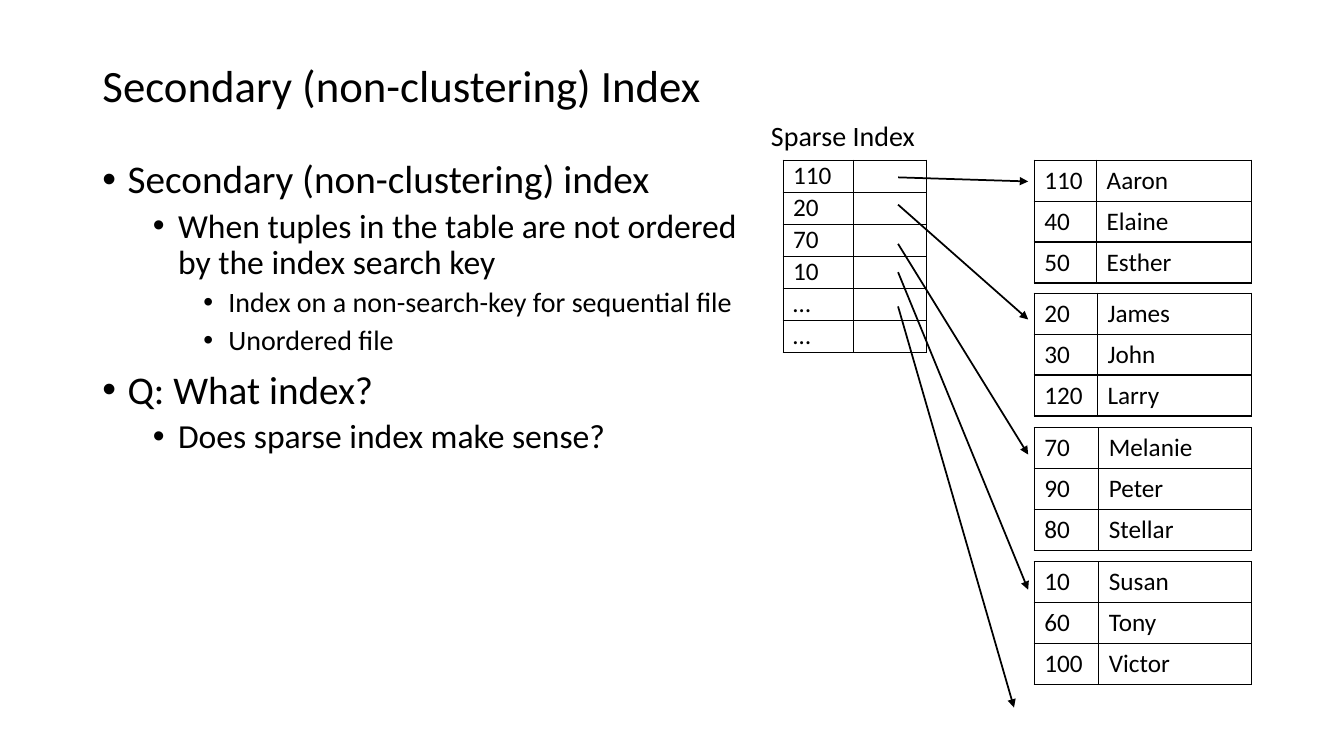
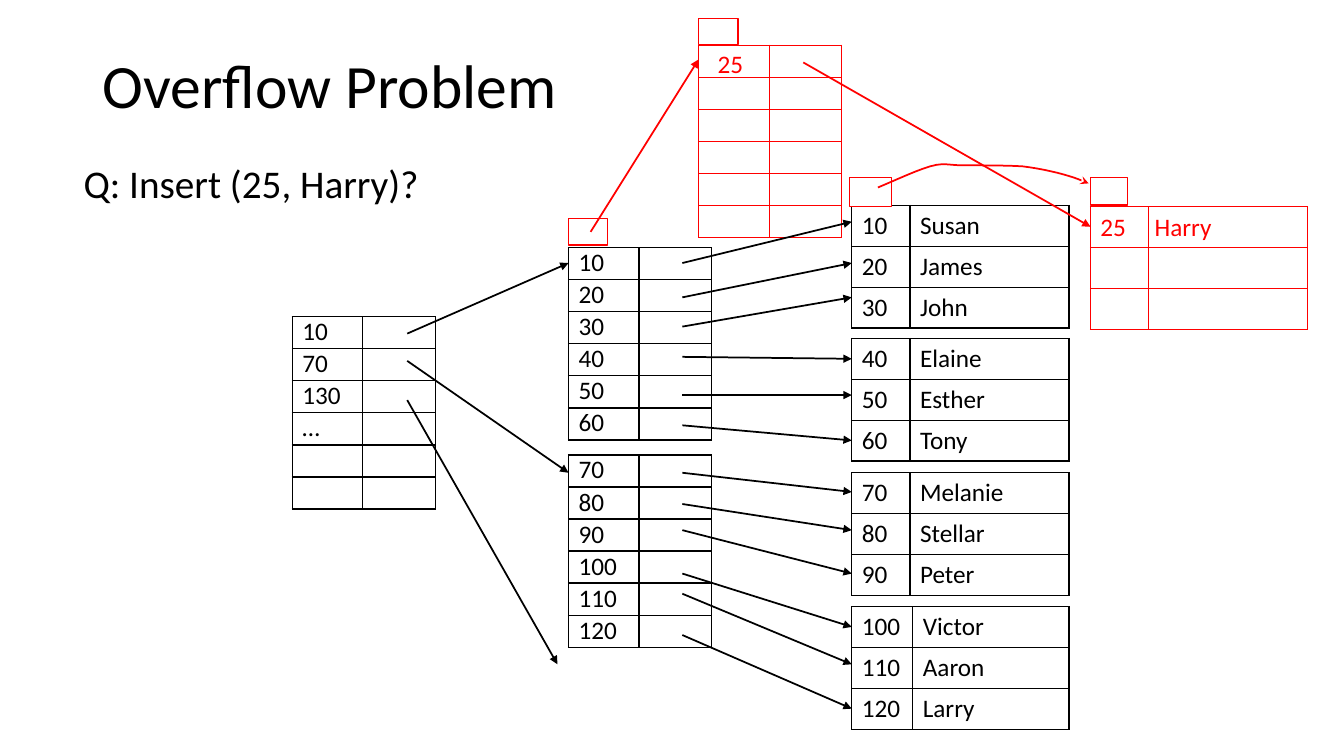
from lxml import etree
from pptx import Presentation
from pptx.dml.color import RGBColor
from pptx.enum.shapes import MSO_CONNECTOR, MSO_SHAPE
from pptx.enum.text import MSO_ANCHOR, MSO_AUTO_SIZE, PP_ALIGN
from pptx.oxml.ns import qn
from pptx.util import Pt

STRAIGHT = MSO_CONNECTOR.STRAIGHT
RECTANGLE = MSO_SHAPE.RECTANGLE
MIDDLE = MSO_ANCHOR.MIDDLE
NO_AUTOFIT = MSO_AUTO_SIZE.NONE
LEFT = PP_ALIGN.LEFT

FONT = "Calibri"
BLACK, RED, WHITE = "000000", "FF0000", "FFFFFF"
color = RGBColor.from_string

INDEX_COLUMNS, INDEX_ROW = (50.4, 51.8), 22.9
DATA_WIDTH, DATA_ROW = 155.2, 29.1
DATA_OFFSETS = (0, 95, 191, 286.8)  # tops of stacked data blocks


def write_text(paragraph, text, size=18, hex_color=BLACK, before=0,
               line_spacing=None, level=0, indent=None, bullet=None, tab=None):
    """Fill a paragraph; indent is the left edge of hanging text."""
    paragraph.level = level
    paragraph.alignment = LEFT
    paragraph.space_before = Pt(before)
    if line_spacing:
        paragraph.line_spacing = line_spacing
    properties = paragraph._p.get_or_add_pPr()
    if indent is not None:
        properties.set("marL", str(Pt(indent)))
        properties.set("indent", str(Pt(-18)))
        if bullet:
            etree.SubElement(properties, qn("a:buChar")).set("char", bullet)
        else:
            etree.SubElement(properties, qn("a:buNone"))
    if tab:
        stops = etree.SubElement(properties, qn("a:tabLst"))
        etree.SubElement(stops, qn("a:tab"), pos=str(Pt(tab)), algn="l")
    run = paragraph.add_run()
    run.text = text
    run.font.name = FONT
    run.font.size = Pt(size)
    run.font.color.rgb = color(hex_color)


def style_arrow(shape, hex_color, head):
    """Give a connector or open outline its line and arrowhead, no shadow."""
    shape.line.color.rgb = color(hex_color)
    shape.line.width = Pt(1.25)
    line = shape.line._get_or_add_ln()
    etree.SubElement(line, qn("a:tailEnd")).set("type", head)
    etree.SubElement(shape._element.spPr, qn("a:effectLst"))


presentation = Presentation()
presentation.slide_width = Pt(960)
presentation.slide_height = Pt(540)

# Shared title and body places
layout = presentation.slide_layouts[1]
for placeholder, top, width, height in (
    (layout.placeholders[0], 24, 828, 78),
    (layout.placeholders[1], 110.6, 478, 376),
):
    placeholder.left, placeholder.top = Pt(66), Pt(top)
    placeholder.width, placeholder.height = Pt(width), Pt(height)

# Slide titles
slides = []
for title, size in (("Secondary (non-clustering) Index", 32),
                    ("Overflow Problem", 44)):
    slide = presentation.slides.add_slide(layout)
    frame = slide.shapes.title.text_frame
    frame.auto_size = NO_AUTOFIT
    frame.vertical_anchor = MIDDLE
    write_text(frame.paragraphs[0], title, size=size, line_spacing=0.9)
    slides.append(slide)
secondary, overflow = slides

# Body lists
body = secondary.placeholders[1].text_frame
body.auto_size = NO_AUTOFIT
for number, (level, text) in enumerate((
    (0, "Secondary (non-clustering) index"),
    (1, "When tuples in the table are not ordered by the index search key"),
    (2, "Index on a non-search-key for sequential file"),
    (2, "Unordered file"),
    (0, "Q: What index?"),
    (1, "Does sparse index make sense?"),
)):
    paragraph = body.add_paragraph() if number else body.paragraphs[0]
    before = 0 if number == 0 else 5 if level else 10
    write_text(paragraph, text, size=28 - 4 * level, before=before,
               line_spacing=0.9, level=level, indent=18 + 36 * level, bullet="•")

question = overflow.placeholders[1]
question.left, question.top = Pt(52.5), Pt(113.8)
question.width, question.height = Pt(340), Pt(45)
question.text_frame.auto_size = NO_AUTOFIT
write_text(question.text_frame.paragraphs[0], "Q: Insert (25, Harry)?", size=28,
           line_spacing=0.9, indent=18)

# Index tables: slide, left, top, keys, colour
tables = []
for slide, left, top, keys, hex_color in (
    (secondary, 559.4, 114.5, ("110", "20", "70", "10", "…", "…"), BLACK),
    (overflow, 406.1, 177, ("10", "20", "30", "40", "50", "60"), BLACK),
    (overflow, 406.1, 325, ("70", "80", "90", "100", "110", "120"), BLACK),
    (overflow, 208.8, 226.3, ("10", "70", "130", "…", "", ""), BLACK),
    (overflow, 499, 32.3, ("",) * 6, RED),
):
    rows = [(key, "") for key in keys]
    tables.append((slide, left, top, INDEX_COLUMNS, INDEX_ROW, 0, rows,
                   hex_color))

# Data blocks: slide, left, first top, colour, key widths and rows
for slide, left, first_top, hex_color, blocks in (
    (secondary, 738.7, 114.5, BLACK, (
        (44.6, (("110", "Aaron"), ("40", "Elaine"), ("50", "Esther"))),
        (45.2, (("20", "James"), ("30", "John"), ("120", "Larry"))),
        (46.2, (("70", "Melanie"), ("90", "Peter"), ("80", "Stellar"))),
        (46.2, (("10", "Susan"), ("60", "Tony"), ("100", "Victor"))),
    )),
    (overflow, 608.4, 146.7, BLACK, (
        (41.6, (("10", "Susan"), ("20", "James"), ("30", "John"))),
        (41.6, (("40", "Elaine"), ("50", "Esther"), ("60", "Tony"))),
        (41.6, (("70", "Melanie"), ("80", "Stellar"), ("90", "Peter"))),
        (43.6, (("100", "Victor"), ("110", "Aaron"), ("120", "Larry"))),
    )),
    (overflow, 779, 147.6, RED, ((41.6, (("", ""),) * 3),)),
):
    for offset, (key_width, rows) in zip(DATA_OFFSETS, blocks):
        tables.append((slide, left, first_top + offset,
                       (key_width, DATA_WIDTH - key_width), DATA_ROW, 3.6,
                       rows, hex_color))

# Draw every table
for slide, left, top, widths, row_height, padding, rows, hex_color in tables:
    table = slide.shapes.add_table(
        len(rows), 2, Pt(left), Pt(top), Pt(sum(widths)),
        Pt(row_height * len(rows))).table
    table.first_row = table.horz_banding = False
    for column, width in zip(table.columns, widths):
        column.width = Pt(width)
    for row, texts in zip(table.rows, rows):
        row.height = Pt(row_height)
        for cell, text in zip(row.cells, texts):
            cell.margin_top = cell.margin_bottom = Pt(padding)
            cell.fill.background()
            if text:
                write_text(cell.text_frame.paragraphs[0], text,
                           hex_color=hex_color)
            cell_properties = cell._tc.get_or_add_tcPr()
            for position, side in enumerate(("lnL", "lnR", "lnT", "lnB")):
                border = etree.Element(qn("a:" + side), w=str(Pt(1)))
                fill = etree.SubElement(border, qn("a:solidFill"))
                etree.SubElement(fill, qn("a:srgbClr")).set("val", hex_color)
                cell_properties.insert(position, border)

# Index label and inserted entries
for slide, left, top, width, height, text, size, hex_color, tab in (
    (secondary, 543.6, 81.4, 118, 31.7, "Sparse Index", 20, BLACK, None),
    (overflow, 779, 147.6, 95, 29, "25\tHarry", 18, RED, 38.7),
    (overflow, 505.6, 31, 33, 29, "25", 18, RED, None),
):
    label = slide.shapes.add_textbox(Pt(left), Pt(top), Pt(width), Pt(height))
    label.text_frame.word_wrap = False
    write_text(label.text_frame.paragraphs[0], text, size=size,
               hex_color=hex_color, tab=tab)

# Overflow pointer boxes
for left, top, width, height in (
    (606.7, 126.7, 30.2, 20.9),
    (779, 126.7, 26.3, 19.9),
    (406.1, 156.2, 27.8, 18.9),
    (499, 13.2, 28.1, 18.7),
):
    box = overflow.shapes.add_shape(RECTANGLE, Pt(left), Pt(top), Pt(width),
                                    Pt(height))
    box.shadow.inherit = False
    box.fill.solid()
    box.fill.fore_color.rgb = color(WHITE)
    box.line.color.rgb = color(RED)
    box.line.width = Pt(1)

# Arrows: slide, colour, start x, end x, pairs of start y and end y
for slide, hex_color, start_x, end_x, heights in (
    (secondary, BLACK, 641.5, 734.4, (
        (126.7, 129.6), (146.2, 228.2), (174.2, 324.7), (194.4, 421.2))),
    (secondary, BLACK, 641.5, 724.3, ((218.9, 505.4),)),
    (overflow, BLACK, 487.4, 608.4, (
        (187.9, 158.4), (212.4, 187.9), (233.3, 212.4), (254.9, 256.3),
        (282.2, 282.2), (303.8, 314.6), (337.7, 351.4), (360, 378.7),
        (378.7, 409.7), (409.7, 447.8), (424.1, 474.5), (453.6, 506.2))),
    (overflow, BLACK, 290.9, 406.1, ((238.3, 187.9), (257.8, 337.7))),
    (overflow, BLACK, 290.9, 398.2, ((285.8, 474.5),)),
    (overflow, RED, 421.9, 499, ((165.6, 42.5),)),
    (overflow, RED, 573.8, 779, ((44.6, 162),)),
):
    for start_y, end_y in heights:
        arrow = slide.shapes.add_connector(
            STRAIGHT, Pt(start_x), Pt(start_y), Pt(end_x), Pt(end_y))
        style_arrow(arrow, hex_color, "triangle")

# Curved arrow between the data overflow boxes, from Bezier control points
start = (627.1, 133.9)
curves = (
    ((640.8, 128.2), (654.5, 121.7), (664.6, 118.8)),
    ((674.6, 115.9), (676.8, 118.1), (687.6, 118.1)),
    ((698.4, 118.1), (717.8, 118.1), (730.1, 118.8)),
    ((741.6, 120.2), (751.7, 122.4), (759.6, 124.6)),
    ((767.5, 126.7), (772.6, 128.9), (777.6, 131)),
)
STEPS = 6
builder = overflow.shapes.build_freeform(Pt(start[0]), Pt(start[1]))
points = []
for first, second, end in curves:
    for step in range(1, STEPS + 1):
        t = step / STEPS
        points.append(tuple(
            Pt((1 - t) ** 3 * a + 3 * (1 - t) ** 2 * t * b
               + 3 * (1 - t) * t ** 2 * c + t ** 3 * d)
            for a, b, c, d in zip(start, first, second, end)))
    start = end
builder.add_line_segments(points, close=False)
curve = builder.convert_to_shape()
curve.fill.background()
style_arrow(curve, RED, "stealth")

presentation.save("out.pptx")
